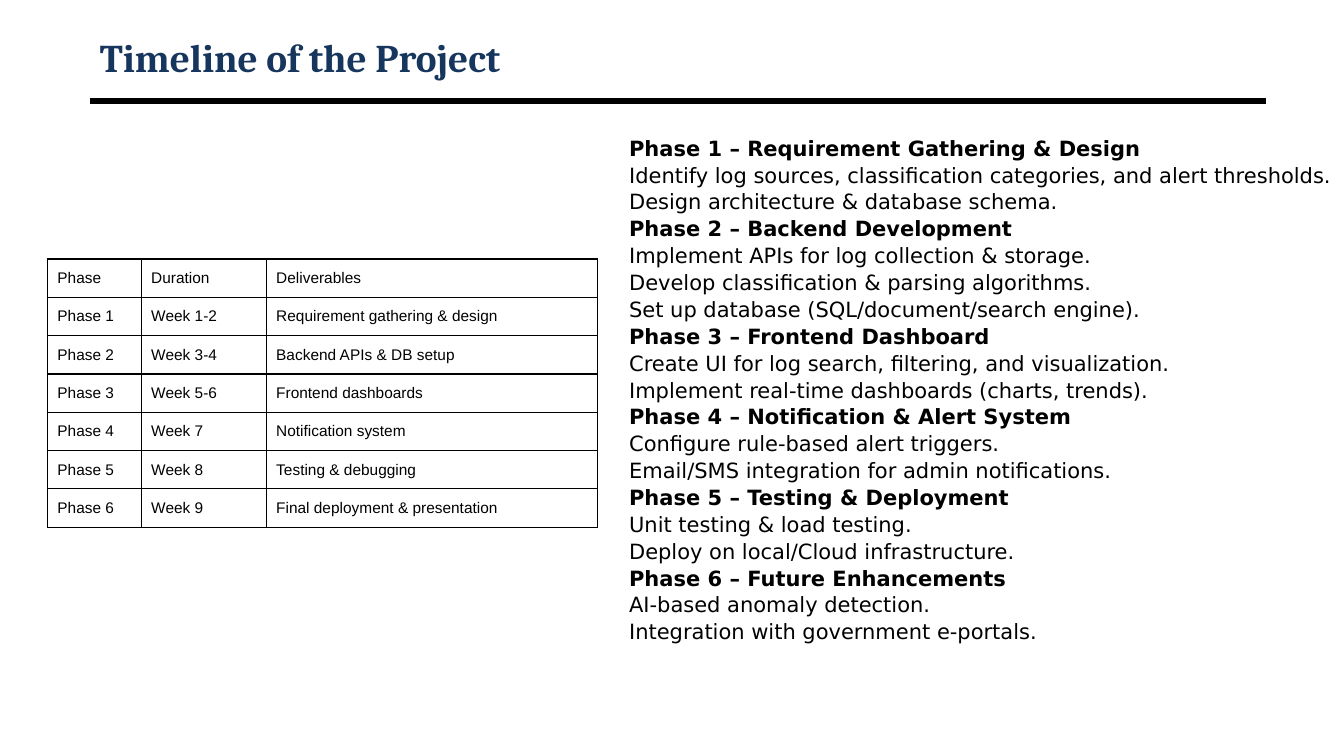
from lxml.etree import SubElement
from pptx import Presentation
from pptx.dml.color import RGBColor
from pptx.enum.shapes import MSO_CONNECTOR as Connector
from pptx.enum.text import MSO_ANCHOR as Anchor, MSO_AUTO_SIZE as AutoSize, PP_ALIGN as Align
from pptx.oxml.ns import qn
from pptx.util import Inches, Pt

BLACK = "000000"
NAVY = "17365D"
SCHEDULE = [
    ("Phase", "Duration", "Deliverables"),
    ("Phase 1", "Week 1-2", "Requirement gathering & design"),
    ("Phase 2", "Week 3-4", "Backend APIs & DB setup"),
    ("Phase 3", "Week 5-6", "Frontend dashboards"),
    ("Phase 4", "Week 7", "Notification system"),
    ("Phase 5", "Week 8", "Testing & debugging"),
    ("Phase 6", "Week 9", "Final deployment & presentation"),
]
COLUMN_WIDTHS = [0.93, 1.24, 3.29]
ROW_HEIGHT = 0.38
PHASES = [
    ("Phase 1 – Requirement Gathering & Design", [
        "Identify log sources, classification categories, and alert thresholds.",
        "Design architecture & database schema."]),
    ("Phase 2 – Backend Development", [
        "Implement APIs for log collection & storage.",
        "Develop classification & parsing algorithms.",
        "Set up database (SQL/document/search engine)."]),
    ("Phase 3 – Frontend Dashboard", [
        "Create UI for log search, filtering, and visualization.",
        "Implement real-time dashboards (charts, trends)."]),
    ("Phase 4 – Notification & Alert System", [
        "Configure rule-based alert triggers.",
        "Email/SMS integration for admin notifications."]),
    ("Phase 5 – Testing & Deployment", [
        "Unit testing & load testing.",
        "Deploy on local/Cloud infrastructure."]),
    ("Phase 6 – Future Enhancements", [
        "AI-based anomaly detection.",
        "Integration with government e-portals."]),
]


def colour(value):
    """Turn a hex string into a colour."""
    return RGBColor.from_string(value)


def write(paragraph, text, font="Arial", size=11, ink=BLACK, bold=False):
    """Put one formatted run of text into a left-aligned paragraph."""
    paragraph.alignment = Align.LEFT
    run = paragraph.add_run()
    run.text = text
    run.font.name = font
    run.font.size = Pt(size)
    run.font.bold = bold
    run.font.color.rgb = colour(ink)


def place(placeholder, left, top, width, height, anchor):
    """Move a placeholder and return its text frame."""
    placeholder.left, placeholder.top = Inches(left), Inches(top)
    placeholder.width, placeholder.height = Inches(width), Inches(height)
    frame = placeholder.text_frame
    frame.auto_size = AutoSize.NONE
    frame.word_wrap = True
    frame.vertical_anchor = anchor
    return frame


def add_rule(slide, left, right, top):
    """Draw the heavy line under the title."""
    rule = slide.shapes.add_connector(
        Connector.STRAIGHT, Inches(left), Inches(top), Inches(right), Inches(top))
    rule.line.color.rgb = colour(BLACK)
    rule.line.width = Pt(4.5)
    SubElement(rule._element.spPr, qn("a:effectLst"))


def fill_phases(frame):
    """List each phase in bold with its tasks below it."""
    lines = [line for heading, tasks in PHASES
             for line in [(heading, True)] + [(task, False) for task in tasks]]
    for index, (text, bold) in enumerate(lines):
        paragraph = frame.add_paragraph() if index else frame.paragraphs[0]
        properties = paragraph._p.get_or_add_pPr()
        properties.set("marL", str(Inches(0.08)))
        properties.set("indent", "0")
        SubElement(properties, qn("a:buNone"))
        paragraph.line_spacing = 0.8
        paragraph.space_before = Pt(4.8 if index else 0)
        write(paragraph, text, font="DejaVu Sans", size=15, bold=bold)


def border(cell):
    """Give a cell thin black borders on all sides, under its fill."""
    properties = cell._tc.get_or_add_tcPr()
    for side in ("a:lnL", "a:lnR", "a:lnT", "a:lnB"):
        edge = SubElement(properties, qn(side), w=str(Pt(1)))
        paint = SubElement(edge, qn("a:solidFill"))
        SubElement(paint, qn("a:srgbClr"), val=BLACK)


def add_schedule(slide, left, top):
    """Add the table of phases, weeks and deliverables."""
    schedule = slide.shapes.add_table(
        len(SCHEDULE), len(COLUMN_WIDTHS), Inches(left), Inches(top),
        Inches(sum(COLUMN_WIDTHS)), Inches(ROW_HEIGHT * len(SCHEDULE))).table
    schedule.first_row = schedule.horz_banding = False
    for column, width in zip(schedule.columns, COLUMN_WIDTHS):
        column.width = Inches(width)
    for row, entries in zip(schedule.rows, SCHEDULE):
        row.height = Inches(ROW_HEIGHT)
        for cell, entry in zip(row.cells, entries):
            border(cell)
            cell.fill.background()
            cell.vertical_anchor = Anchor.MIDDLE
            write(cell.text_frame.paragraphs[0], entry)


def main():
    """Build the timeline slide and save it."""
    deck = Presentation()
    deck.slide_width, deck.slide_height = Inches(13.33), Inches(7.5)
    slide = deck.slides.add_slide(deck.slide_layouts[1])
    add_rule(slide, 0.89, 12.56, 1)
    title = place(slide.shapes.title, 0.89, 0.3, 11.67, 0.53, Anchor.MIDDLE)
    write(title.paragraphs[0], "Timeline of the Project",
          font="Cambria", size=28, ink=NAVY, bold=True)
    fill_phases(place(slide.placeholders[1], 6.06, 1.34, 7.46, 5.42, Anchor.TOP))
    add_schedule(slide, 0.47, 2.57)
    deck.save("out.pptx")


if __name__ == "__main__":
    main()
